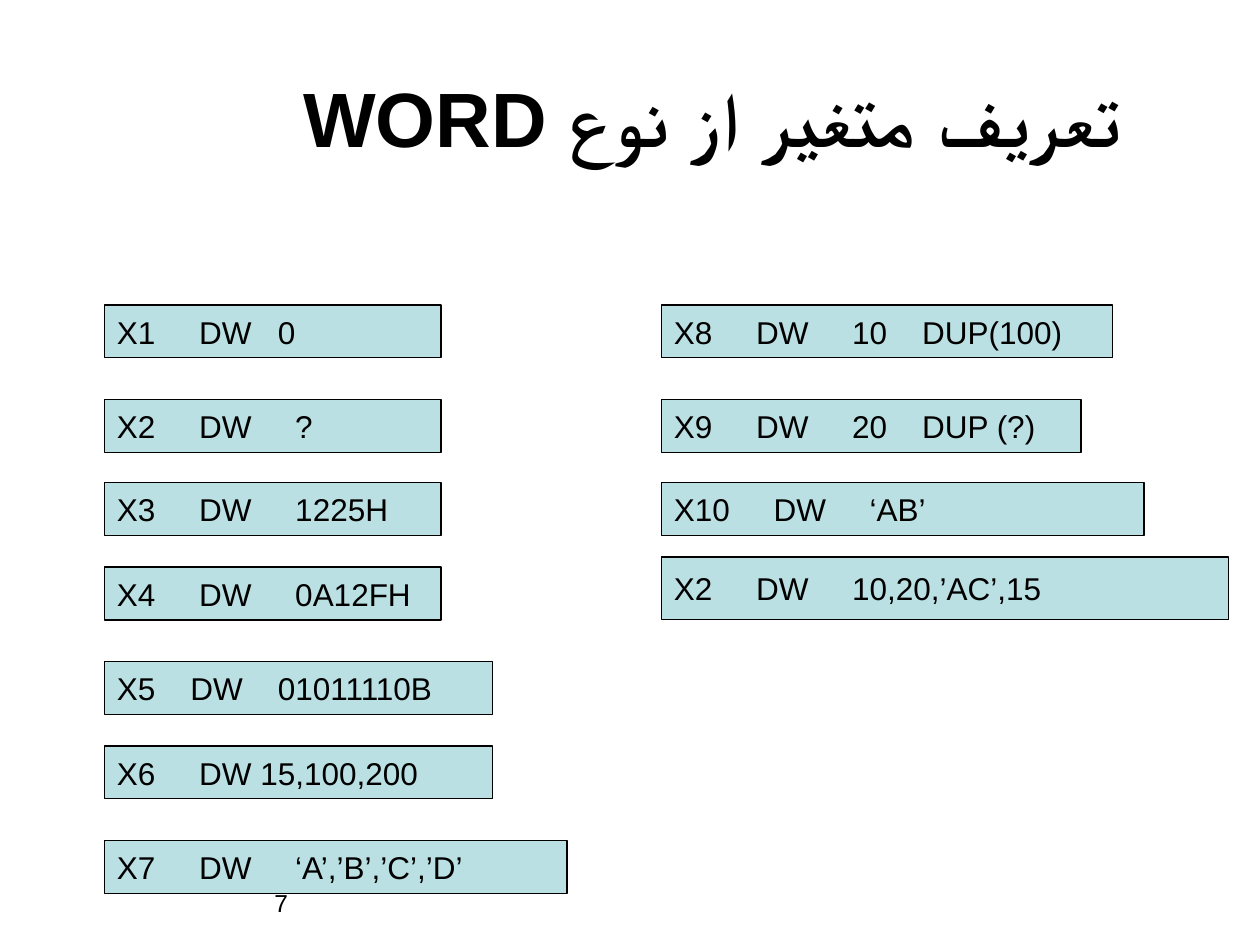
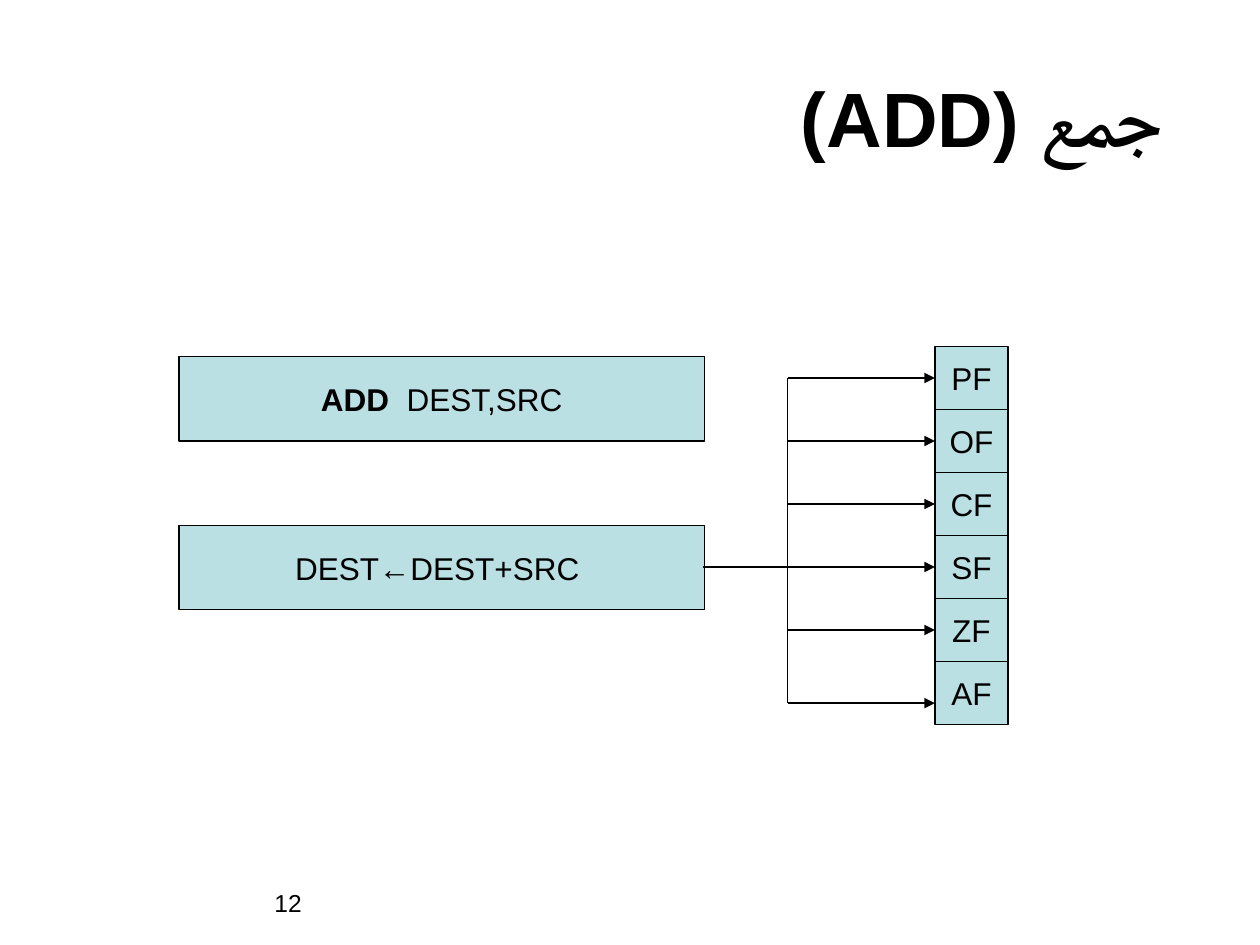
import pptx
import pptx.util
import pptx.dml.color
import pptx.enum.shapes
import pptx.enum.text
import pptx.oxml
import pptx.oxml.ns
from pptx.util import Inches

BLACK = pptx.dml.color.RGBColor(0x00, 0x00, 0x00)
PALE_TEAL = pptx.dml.color.RGBColor(0xBB, 0xE0, 0xE3)
FONT = "Arial"
LINE_WIDTH = pptx.util.Pt(0.75)
LEFT, CENTER, RIGHT = (pptx.enum.text.PP_ALIGN.LEFT, pptx.enum.text.PP_ALIGN.CENTER,
                       pptx.enum.text.PP_ALIGN.RIGHT)
MIDDLE, TOP = pptx.enum.text.MSO_ANCHOR.MIDDLE, pptx.enum.text.MSO_ANCHOR.TOP


def set_text(sp, text, size=18, bold=False, lead="", align=LEFT, anchor=MIDDLE,
             rtl=False, wrap=False):
    """Write one paragraph; lead is a bold opening run."""
    tf = sp.text_frame
    tf.word_wrap = wrap
    tf.auto_size = pptx.enum.text.MSO_AUTO_SIZE.NONE
    tf.vertical_anchor = anchor
    p = tf.paragraphs[0]
    p.alignment = align
    if rtl:
        p._p.get_or_add_pPr().set("rtl", "1")
    for words, is_bold in ((lead, True), (text, bold)):
        if words:
            r = p.add_run()
            r.text = words
            r.font.name = FONT
            r.font.size = pptx.util.Pt(size)
            r.font.bold = is_bold
            r.font.color.rgb = BLACK
            cs = pptx.oxml.parse_xml(
                f'<a:cs {pptx.oxml.ns.nsdecls("a")} typeface="{FONT}"/>')
            r.font._element.append(cs)


def add_box(s, left, top, width, height, text, **fmt):
    """Add a teal box with a thin black outline."""
    sp = s.shapes.add_shape(pptx.enum.shapes.MSO_SHAPE.RECTANGLE, Inches(left),
                            Inches(top), Inches(width), Inches(height))
    sp.shadow.inherit = False
    sp.fill.solid()
    sp.fill.fore_color.rgb = PALE_TEAL
    sp.line.color.rgb = BLACK
    sp.line.width = LINE_WIDTH
    set_text(sp, text, **fmt)


prs = pptx.Presentation()
prs.slide_width, prs.slide_height = Inches(10), Inches(7.5)

# Titles and page numbers
slides = []
for title, title_left, number in (("تعریف متغیر از نوع WORD", 0, "7"),
                                  ("جمع (ADD)", 0.33, "12")):
    s = prs.slides.add_slide(prs.slide_layouts[5])
    sp = s.shapes.title
    sp.left, sp.top = Inches(title_left), Inches(0.3)
    sp.width, sp.height = Inches(9), Inches(1.25)
    set_text(sp, title, size=44, bold=True, align=RIGHT, rtl=True, wrap=True)
    sp = s.shapes.add_textbox(Inches(2.08), Inches(7), Inches(1.5), Inches(0.5))
    set_text(sp, number, size=14, anchor=TOP, wrap=True)
    slides.append(s)
word_slide, add_slide = slides

# Word variables: top, width, height and code, by column
definitions = {
    0.83: [
        (2.42, 2.67, 0.42, "X1     DW   0"),
        (3.17, 2.67, 0.42, "X2     DW     ?"),
        (3.83, 2.67, 0.42, "X3     DW     1225H"),
        (4.5, 2.67, 0.42, "X4     DW     0A12FH"),
        (5.25, 3.08, 0.42, "X5    DW    01011110B"),
        (5.92, 3.08, 0.42, "X6     DW 15,100,200"),
        (6.67, 3.67, 0.42, "X7     DW     ‘A’,’B’,’C’,’D’"),
    ],
    5.25: [
        (2.42, 3.58, 0.42, "X8     DW     10    DUP(100)"),
        (3.17, 3.33, 0.42, "X9     DW     20    DUP (?)"),
        (3.83, 3.83, 0.42, "X10     DW     ‘AB’"),
        (4.42, 4.5, 0.5, "X2     DW     10,20,’AC’,15"),
    ],
}
for left, rows in definitions.items():
    for top, width, height, code in rows:
        add_box(word_slide, left, top, width, height, code)

# Instruction and its effect
for top, lead, code in ((2.83, "ADD", "  DEST,SRC"), (4.17, "", " DEST←DEST+SRC")):
    add_box(add_slide, 1.42, top, 4.17, 0.67, code, lead=lead, align=CENTER, rtl=True)

# Flags, with a branch to each
FLAG_LEFT, FLAG_TOP, FLAG_HEIGHT, TRUNK = 7.42, 2.75, 0.5, 6.25
flags = ["PF", "OF", "CF", "SF", "ZF", "AF"]
for i, flag in enumerate(flags):
    add_box(add_slide, FLAG_LEFT, FLAG_TOP + i * FLAG_HEIGHT, 0.58, FLAG_HEIGHT, flag,
            align=CENTER)

branches = [FLAG_TOP + (i + 0.5) * FLAG_HEIGHT for i in range(len(flags) - 1)] + [5.58]
lines = [(5.58, 4.5, TRUNK, 4.5, False), (TRUNK, branches[0], TRUNK, branches[-1], False)]
lines += [(TRUNK, y, FLAG_LEFT, y, True) for y in branches]
for x1, y1, x2, y2, arrow in lines:
    c = add_slide.shapes.add_connector(pptx.enum.shapes.MSO_CONNECTOR.STRAIGHT, Inches(x1),
                                       Inches(y1), Inches(x2), Inches(y2))
    c.line.color.rgb = BLACK
    c.line.width = LINE_WIDTH
    if arrow:
        c.line._get_or_add_ln().append(pptx.oxml.parse_xml(
            f'<a:tailEnd {pptx.oxml.ns.nsdecls("a")} type="triangle"/>'))
    c._element.spPr.append(pptx.oxml.parse_xml(
        f'<a:effectLst {pptx.oxml.ns.nsdecls("a")}/>'))

prs.save("out.pptx")
